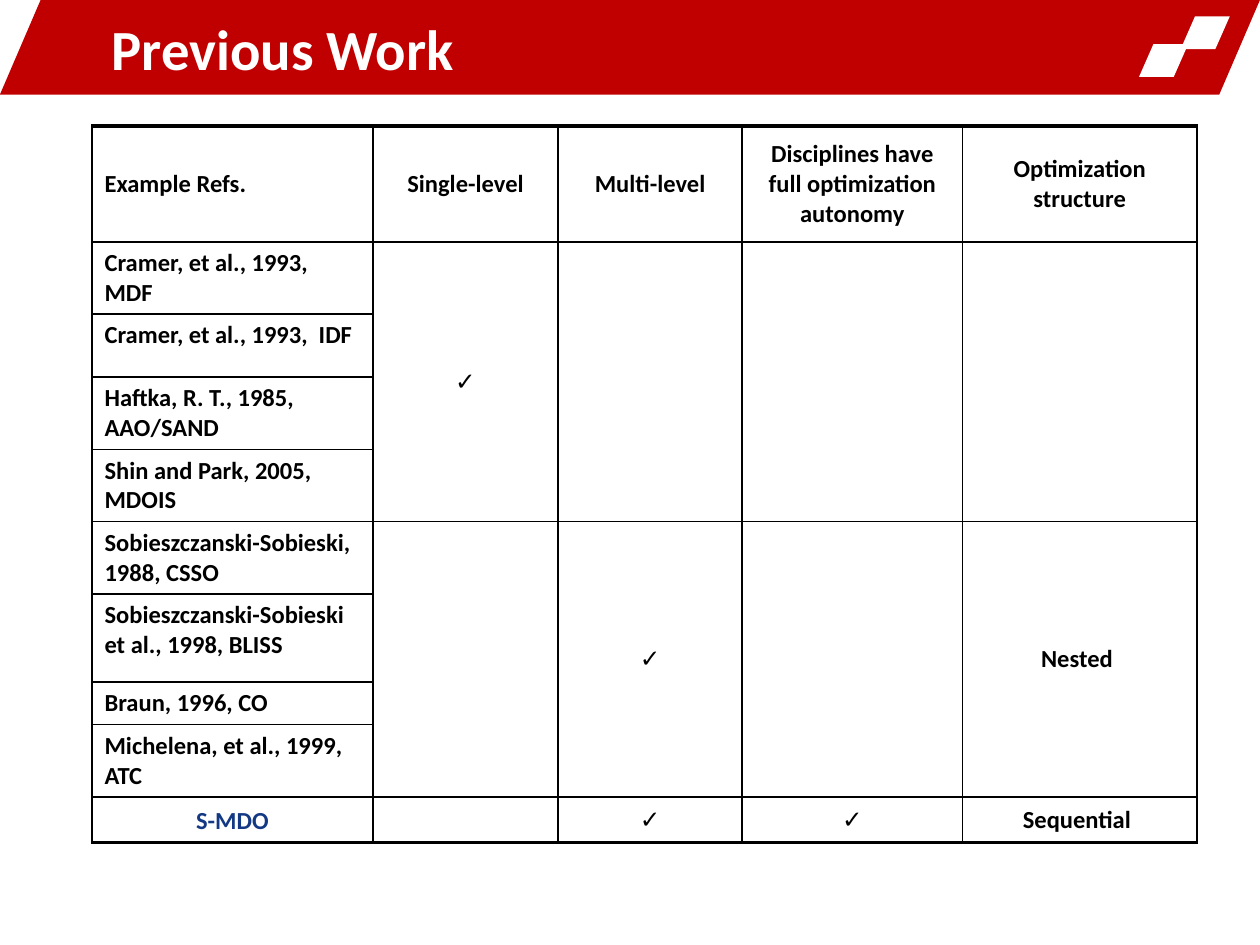
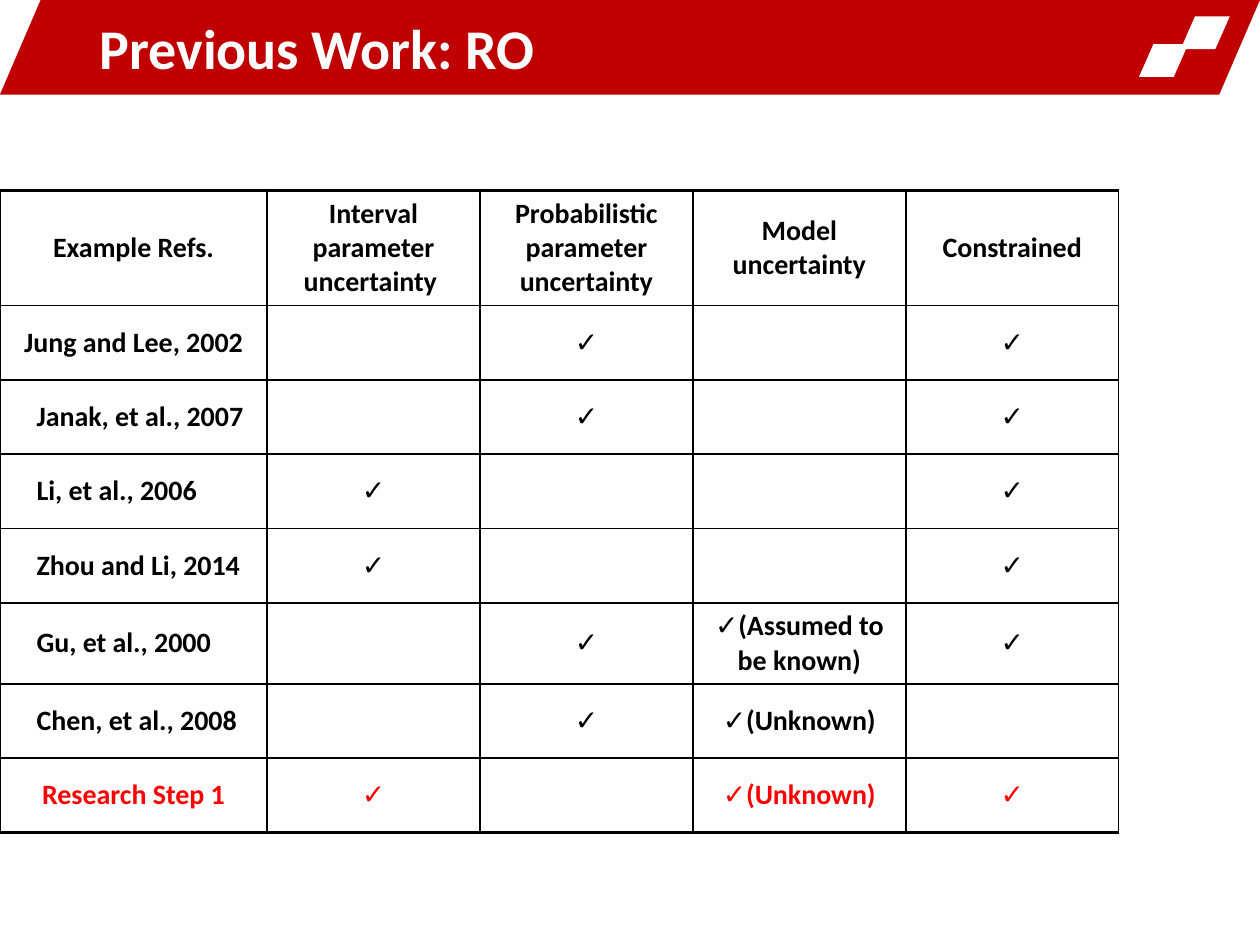
from dataclasses import dataclass
from typing import Any

import pptx
import pptx.dml.color
import pptx.enum.shapes
import pptx.enum.text
import pptx.oxml
import pptx.oxml.ns
import pptx.util
from lxml import etree

RED = pptx.dml.color.RGBColor(0xC0, 0x00, 0x00)
BRIGHT_RED = pptx.dml.color.RGBColor(0xFF, 0x00, 0x00)
NAVY = pptx.dml.color.RGBColor(0x13, 0x39, 0x84)
WHITE = pptx.dml.color.RGBColor(0xFF, 0xFF, 0xFF)
BLACK = pptx.dml.color.RGBColor(0x00, 0x00, 0x00)

FONT = "Calibri"
CHECK = "✓"
SLIDE_WIDTH = pptx.util.Inches(10)
SLIDE_HEIGHT = pptx.util.Inches(7.5)
GRID_COLUMNS = 100
GRID_ROWS = 75
TITLE_ONLY = 5
FIRST_FOOTER_INDEX = 10
INNER_LINE = 1
OUTER_LINE = 2

CENTER = pptx.enum.text.PP_ALIGN.CENTER
LEFT = pptx.enum.text.PP_ALIGN.LEFT
MIDDLE = pptx.enum.text.MSO_ANCHOR.MIDDLE
TOP = pptx.enum.text.MSO_ANCHOR.TOP


@dataclass(frozen=True)
class Box:
    column: float
    row: float
    columns: float
    rows: float


@dataclass(frozen=True)
class Band:
    box: Box
    slant: float
    color: pptx.dml.color.RGBColor


@dataclass(frozen=True)
class Title:
    text: str
    box: Box
    size: float
    alignment: Any
    left_margin: float


@dataclass(frozen=True)
class Comparison:
    column: float
    row: float
    widths: list[float]
    heights: list[float]
    size: float
    cells: list[list[str]]
    merged_rows: list[tuple[int, int]]
    left_label_rows: range
    top_label_rows: range
    label_indent: float
    accent: pptx.dml.color.RGBColor
    accent_columns: range
    last_label_spacing: float


BANDS = [
    Band(Box(0, 0, 100, 7.5), 0.43, RED),
    Band(Box(93.7, 1.3, 3.9, 2.6), 0.44, WHITE),
    Band(Box(90.4, 3.5, 3.9, 2.6), 0.44, WHITE),
]

DECOMPOSITION_TITLE = Title("Previous Work", Box(5.8, 0.3, 33.3, 7), 32.4, CENTER, 1)
DECOMPOSITION = Comparison(
    column=7.3,
    row=10,
    widths=[22.3, 14.7, 14.6, 17.5, 18.6],
    heights=[9.2, 5.5, 5, 5.5, 5.5, 5.5, 7, 3.2, 5.5, 3],
    size=14,
    cells=[
        ["Example Refs.", "Single-level", "Multi-level",
         "Disciplines have full optimization autonomy", "Optimization structure"],
        ["Cramer, et al., 1993, MDF", CHECK, "", "", ""],
        ["Cramer, et al., 1993,  IDF"],
        ["Haftka, R. T., 1985, AAO/SAND"],
        ["Shin and Park, 2005, MDOIS"],
        ["Sobieszczanski-Sobieski, 1988, CSSO", "", CHECK, "", "Nested "],
        ["Sobieszczanski-Sobieski et al., 1998, BLISS"],
        ["Braun, 1996, CO"],
        ["Michelena, et al., 1999, ATC"],
        ["S-MDO", "", CHECK, CHECK, "Sequential "],
    ],
    merged_rows=[(1, 4), (5, 8)],
    left_label_rows=range(0, 9),
    top_label_rows=range(1, 9),
    label_indent=0,
    accent=NAVY,
    accent_columns=range(1),
    last_label_spacing=1.1,
)

ROBUST_TITLE = Title("Previous Work: RO", Box(5.8, 0, 87.5, 7.5), 32, LEFT, 2.1)
ROBUST = Comparison(
    column=0,
    row=15.1,
    widths=[21.2] + [16.9] * 4,
    heights=[8.7] + [5.9] * 7,
    size=16,
    cells=[
        ["Example Refs.", "Interval parameter uncertainty ",
         "Probabilistic\nparameter uncertainty", "Model uncertainty", "Constrained"],
        ["Jung and Lee, 2002", "", CHECK, "", CHECK],
        ["Janak, et al., 2007", "", CHECK, "", CHECK],
        ["Li, et al., 2006", CHECK, "", "", CHECK],
        ["Zhou and Li, 2014", CHECK, "", "", CHECK],
        ["Gu, et al., 2000", "", CHECK, CHECK + "(Assumed to be known)", CHECK],
        ["Chen, et al., 2008", "", CHECK, CHECK + "(Unknown)", ""],
        ["Research Step 1", CHECK, "", CHECK + "(Unknown)", CHECK],
    ],
    merged_rows=[],
    left_label_rows=range(2, 7),
    top_label_rows=range(0),
    label_indent=1.9,
    accent=BRIGHT_RED,
    accent_columns=range(5),
    last_label_spacing=1,
)


def across(columns: float) -> int:
    return round(SLIDE_WIDTH * columns / GRID_COLUMNS)


def down(rows: float) -> int:
    return round(SLIDE_HEIGHT * rows / GRID_ROWS)


def place(box: Box) -> tuple[int, int, int, int]:
    return across(box.column), down(box.row), across(box.columns), down(box.rows)


def apply_format(target: Any, values: dict[str, Any]) -> None:
    for name, value in values.items():
        setattr(target, name, value)


def format_font(font: Any, size: float, color: pptx.dml.color.RGBColor) -> None:
    apply_format(font, {"name": FONT, "size": pptx.util.Pt(size), "bold": True})
    font.color.rgb = color


def draw_band(slide: Any, band: Band) -> Any:
    shape = slide.shapes.add_shape(
        pptx.enum.shapes.MSO_SHAPE.PARALLELOGRAM, *place(band.box))
    shape.adjustments[0] = band.slant
    shape.shadow.inherit = False
    shape.fill.solid()
    shape.fill.fore_color.rgb = band.color
    shape.line.fill.background()
    return shape


def move_bands_to_layout(slide: Any, layout: Any) -> None:
    for placeholder in list(layout.placeholders):
        if placeholder.placeholder_format.idx >= FIRST_FOOTER_INDEX:
            layout.shapes.element.remove(placeholder.element)
    shapes = [draw_band(slide, band) for band in BANDS]
    for shape in shapes:
        layout.shapes.element.append(shape.element)


def write_title(slide: Any, title: Title) -> None:
    shape = slide.shapes.title
    apply_format(shape, dict(zip(("left", "top", "width", "height"), place(title.box))))
    apply_format(shape.text_frame, {
        "text": title.text,
        "word_wrap": True,
        "auto_size": pptx.enum.text.MSO_AUTO_SIZE.NONE,
        "vertical_anchor": MIDDLE,
        "margin_left": across(title.left_margin),
    })
    paragraph = shape.text_frame.paragraphs[0]
    paragraph.alignment = title.alignment
    format_font(paragraph.runs[0].font, title.size, WHITE)


def draw_borders(cell: Any, first: bool, last: bool) -> None:
    properties = cell._tc.get_or_add_tcPr()
    widths = {
        "a:lnL": INNER_LINE,
        "a:lnR": INNER_LINE,
        "a:lnT": OUTER_LINE if first else INNER_LINE,
        "a:lnB": OUTER_LINE if last else INNER_LINE,
    }
    for position, (tag, width) in enumerate(widths.items()):
        line = etree.Element(pptx.oxml.ns.qn(tag), w=str(pptx.util.Pt(width)))
        fill = etree.SubElement(line, pptx.oxml.ns.qn("a:solidFill"))
        etree.SubElement(fill, pptx.oxml.ns.qn("a:srgbClr"), val=str(BLACK))
        properties.insert(position, line)


def write_cell(cell: Any, text: str, comparison: Comparison, row: int, column: int) -> None:
    last = row == len(comparison.heights) - 1
    label = column == 0
    left = label and row in comparison.left_label_rows
    accented = last and column in comparison.accent_columns
    cell.text_frame.text = text
    cell.vertical_anchor = TOP if label and row in comparison.top_label_rows else MIDDLE
    for paragraph in cell.text_frame.paragraphs:
        paragraph.alignment = LEFT if left else CENTER
        if left:
            paragraph._p.get_or_add_pPr().set("marL", str(across(comparison.label_indent)))
        if last and label:
            paragraph.line_spacing = comparison.last_label_spacing
        for run in paragraph.runs:
            format_font(run.font, comparison.size, comparison.accent if accented else BLACK)
        if not paragraph.runs:
            etree.SubElement(paragraph._p, pptx.oxml.ns.qn("a:endParaRPr"),
                             sz=str(comparison.size * 100))


def draw_comparison(slide: Any, comparison: Comparison) -> None:
    box = Box(comparison.column, comparison.row,
              sum(comparison.widths), sum(comparison.heights))
    row_count, column_count = len(comparison.heights), len(comparison.widths)
    table = slide.shapes.add_table(row_count, column_count, *place(box)).table
    apply_format(table, {"first_row": False, "horz_banding": False})
    for column, width in zip(table.columns, comparison.widths):
        column.width = across(width)
    for row, height in zip(table.rows, comparison.heights):
        row.height = down(height)
    for row, texts in enumerate(comparison.cells):
        for column in range(column_count):
            cell = table.cell(row, column)
            text = texts[column] if column < len(texts) else ""
            write_cell(cell, text, comparison, row, column)
            cell.fill.background()
            draw_borders(cell, row == 0, row == row_count - 1)
    for first, last in comparison.merged_rows:
        for column in range(1, column_count):
            table.cell(first, column).merge(table.cell(last, column))


def main() -> None:
    presentation = pptx.Presentation()
    apply_format(presentation, {"slide_width": SLIDE_WIDTH, "slide_height": SLIDE_HEIGHT})
    layout = presentation.slide_layouts[TITLE_ONLY]
    pages = [(DECOMPOSITION_TITLE, DECOMPOSITION), (ROBUST_TITLE, ROBUST)]
    slides = [presentation.slides.add_slide(layout) for _ in pages]
    move_bands_to_layout(slides[0], layout)
    for slide, (title, comparison) in zip(slides, pages):
        write_title(slide, title)
        draw_comparison(slide, comparison)
    presentation.save("out.pptx")


if __name__ == "__main__":
    main()
